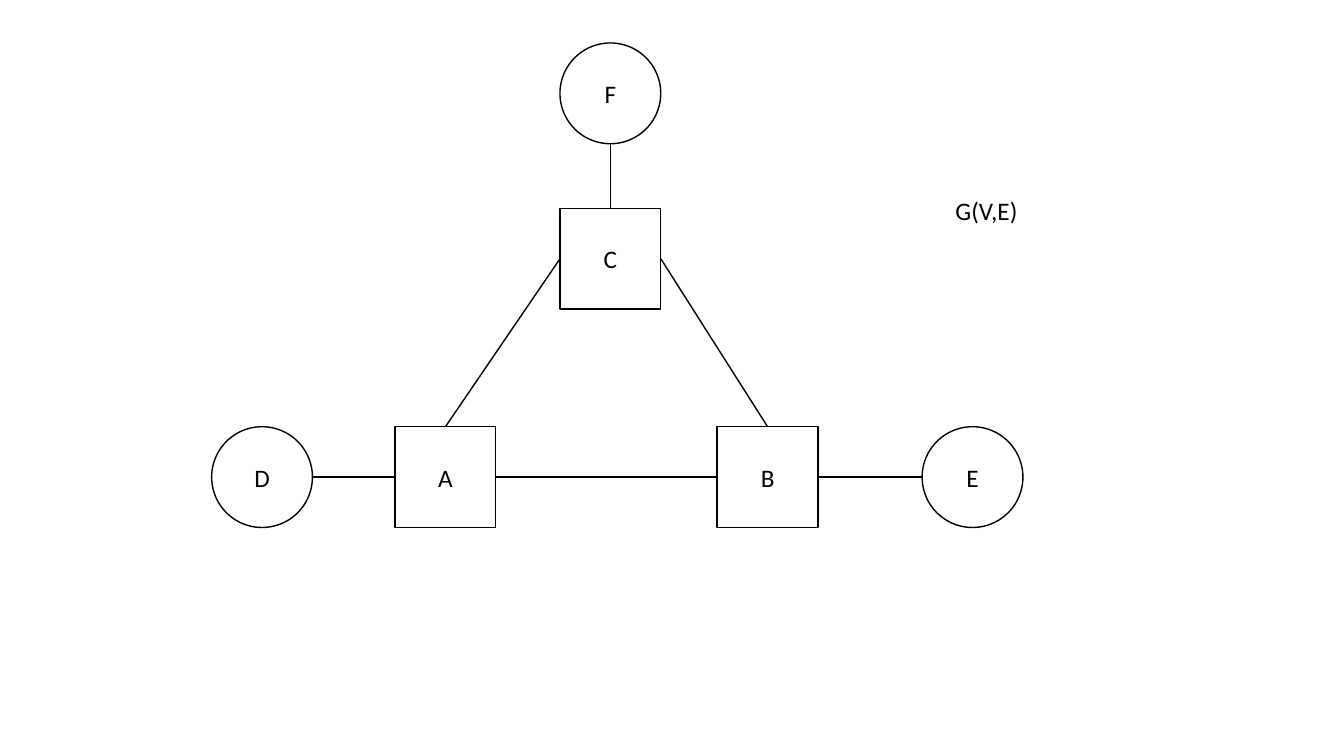
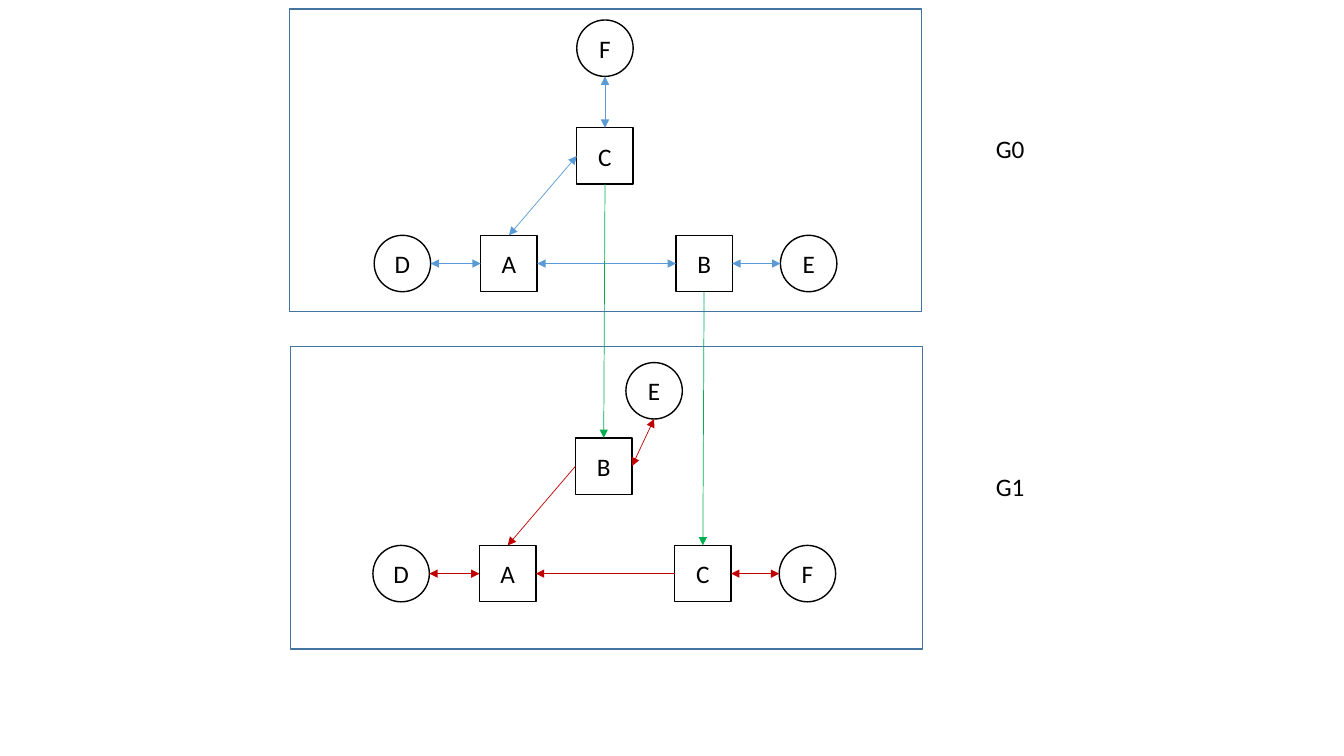
"""Build two slides showing an undirected graph and its two directed layers."""
from dataclasses import dataclass

from lxml import etree
from pptx import Presentation
from pptx.dml.color import RGBColor
from pptx.enum.shapes import MSO_CONNECTOR, MSO_SHAPE
from pptx.enum.text import MSO_ANCHOR, MSO_AUTO_SIZE, PP_ALIGN
from pptx.oxml.ns import qn
from pptx.shapes.autoshape import Shape
from pptx.slide import Slide
from pptx.text.text import TextFrame
from pptx.util import Pt

SQUARE = MSO_SHAPE.RECTANGLE
CIRCLE = MSO_SHAPE.OVAL
STRAIGHT = MSO_CONNECTOR.STRAIGHT
MIDDLE = MSO_ANCHOR.MIDDLE
FIT_TEXT = MSO_AUTO_SIZE.SHAPE_TO_FIT_TEXT
CENTER = PP_ALIGN.CENTER
LEFT = PP_ALIGN.LEFT

COLORS = {
    "white": "FFFFFF",
    "black": "000000",
    "blue": "5B9BD5",
    "green": "00B050",
    "red": "C00000",
    "frame": "43739E",
}
FONT_FORMAT = {"name": "Calibri", "size": Pt(18)}
NODE_TEXT_FORMAT = {"vertical_anchor": MIDDLE, "word_wrap": True}
LABEL_TEXT_FORMAT = {"word_wrap": False, "auto_size": FIT_TEXT}
SIDES = {"top": (0.5, 0), "left": (0, 0.5), "bottom": (0.5, 1), "right": (1, 0.5)}
BLANK_LAYOUT = 6


@dataclass(frozen=True)
class Node:
    """A lettered vertex of a graph."""
    letter: str
    kind: MSO_SHAPE
    left: float
    top: float
    size: float

    def side(self, name: str) -> tuple[float, float]:
        """Return the middle point of one side."""
        across, down = SIDES[name]
        return self.left + across * self.size, self.top + down * self.size


@dataclass(frozen=True)
class Edge:
    """A straight link between the sides of two nodes."""
    start: str
    start_side: str
    end: str
    end_side: str
    color: str = "black"
    width: float = 1
    head: bool = False
    tail: bool = False


@dataclass(frozen=True)
class Box:
    """A frame or label area."""
    left: float
    top: float
    width: float
    height: float
    text: str = ""


def rgb(name: str) -> RGBColor:
    """Return a named colour."""
    return RGBColor.from_string(COLORS[name])


def apply_format(target: object, values: dict) -> None:
    """Set every attribute listed in the format values."""
    for name, value in values.items():
        setattr(target, name, value)


def write_text(frame: TextFrame, text: str, alignment: PP_ALIGN, values: dict) -> None:
    """Write one formatted line of text."""
    apply_format(frame, values)
    paragraph = frame.paragraphs[0]
    paragraph.alignment = alignment
    run = paragraph.add_run()
    run.text = text
    apply_format(run.font, FONT_FORMAT)
    run.font.color.rgb = rgb("black")


def add_outline(slide: Slide, kind: MSO_SHAPE, box: Box, color: str) -> Shape:
    """Add a shape with a thin outline and no shadow."""
    shape = slide.shapes.add_shape(
        kind, Pt(box.left), Pt(box.top), Pt(box.width), Pt(box.height))
    shape.shadow.inherit = False
    shape.line.color.rgb = rgb(color)
    shape.line.width = Pt(1)
    return shape


def add_node(slide: Slide, node: Node) -> None:
    """Draw a vertex with its letter."""
    box = Box(node.left, node.top, node.size, node.size)
    shape = add_outline(slide, node.kind, box, "black")
    shape.fill.solid()
    shape.fill.fore_color.rgb = rgb("white")
    write_text(shape.text_frame, node.letter, CENTER, NODE_TEXT_FORMAT)


def add_edge(slide: Slide, edge: Edge, nodes: dict[str, Node]) -> None:
    """Draw an edge with its arrowheads."""
    start = nodes[edge.start].side(edge.start_side)
    end = nodes[edge.end].side(edge.end_side)
    connector = slide.shapes.add_connector(
        STRAIGHT, *(Pt(value) for value in (*start, *end)))
    connector.line.color.rgb = rgb(edge.color)
    connector.line.width = Pt(edge.width)
    properties = connector._element.spPr
    etree.SubElement(properties, qn("a:effectLst"))
    line = properties.find(qn("a:ln"))
    for tag, shown in (("a:headEnd", edge.head), ("a:tailEnd", edge.tail)):
        if shown:
            etree.SubElement(line, qn(tag), type="triangle")


def add_frame(slide: Slide, box: Box) -> None:
    """Draw the unfilled border around a layer."""
    add_outline(slide, SQUARE, box, "frame").fill.background()


def add_label(slide: Slide, box: Box) -> None:
    """Write the name of a graph."""
    label = slide.shapes.add_textbox(
        Pt(box.left), Pt(box.top), Pt(box.width), Pt(box.height))
    write_text(label.text_frame, box.text, LEFT, LABEL_TEXT_FORMAT)


def make_layer(suffix: str, letters: str, left: float, top: float,
               satellite: tuple[float, float]) -> dict[str, Node]:
    """Place a layer: left circle, two squares, right circle, apex, satellite."""
    places = (
        (CIRCLE, 0, 153.8), (SQUARE, 76.1, 153.8), (SQUARE, 215.5, 153.8),
        (CIRCLE, 290.2, 153.8), (SQUARE, 144.7, 77), (CIRCLE, *satellite))
    return {
        letter + suffix: Node(letter, kind, left + across, top + down, 40.3)
        for letter, (kind, across, down) in zip(letters, places)}


def add_graph(presentation: Presentation, nodes: dict[str, Node], edges: list[Edge],
              frames: list[Box], labels: list[Box]) -> None:
    """Add a slide with a complete graph."""
    slide = presentation.slides.add_slide(presentation.slide_layouts[BLANK_LAYOUT])
    for node in nodes.values():
        add_node(slide, node)
    for edge in edges:
        add_edge(slide, edge, nodes)
    for frame in frames:
        add_frame(slide, frame)
    for label in labels:
        add_label(slide, label)


GRAPH_NODES = {
    letter: Node(letter, kind, left, top, 72)
    for letter, kind, left, top in (
        ("C", SQUARE, 400, 148.8), ("A", SQUARE, 282.2, 304.8),
        ("B", SQUARE, 512.3, 304.8), ("F", CIRCLE, 400, 30.7),
        ("D", CIRCLE, 151.2, 304.8), ("E", CIRCLE, 658.7, 304.8))}
GRAPH_EDGES = [
    Edge("C", "left", "A", "top"),
    Edge("C", "right", "B", "top"),
    Edge("A", "right", "B", "left"),
    Edge("F", "bottom", "C", "top"),
    Edge("D", "right", "A", "left"),
    Edge("B", "right", "E", "left"),
]

LAYER_NODES = (make_layer("0", "DABECF", 267.3, 14.3, (144.7, 0))
               | make_layer("1", "DACFBE", 266.4, 235.8, (180.7, 23.2)))
BOTH_WAYS = {"width": 0.5, "head": True, "tail": True}
ONE_WAY = {"width": 0.5, "tail": True}
LAYER_EDGES = [
    Edge("F0", "bottom", "C0", "top", "blue", **BOTH_WAYS),
    Edge("A0", "right", "B0", "left", "blue", **BOTH_WAYS),
    Edge("C0", "left", "A0", "top", "blue", **BOTH_WAYS),
    Edge("A0", "left", "D0", "right", "blue", **BOTH_WAYS),
    Edge("B0", "right", "E0", "left", "blue", **BOTH_WAYS),
    Edge("B0", "bottom", "C1", "top", "green", **ONE_WAY),
    Edge("C0", "bottom", "B1", "top", "green", **ONE_WAY),
    Edge("B1", "right", "E1", "bottom", "red", **BOTH_WAYS),
    Edge("A1", "left", "D1", "right", "red", **BOTH_WAYS),
    Edge("C1", "right", "F1", "left", "red", **BOTH_WAYS),
    Edge("C1", "left", "A1", "right", "red", **ONE_WAY),
    Edge("B1", "left", "A1", "top", "red", **ONE_WAY),
]
LAYER_FRAMES = [Box(206.7, 6.5, 451.4, 216), Box(207.4, 247.6, 451.4, 216)]
GRAPH_LABELS = [Box(675.4, 136.1, 59, 29, "G(V,E)")]
LAYER_LABELS = [Box(704.2, 91.4, 35.3, 29, "G0"), Box(704.2, 333.4, 35.3, 29, "G1")]


def main() -> None:
    """Build and save the presentation."""
    presentation = Presentation()
    apply_format(presentation, {"slide_width": Pt(960), "slide_height": Pt(540)})
    add_graph(presentation, GRAPH_NODES, GRAPH_EDGES, [], GRAPH_LABELS)
    add_graph(presentation, LAYER_NODES, LAYER_EDGES, LAYER_FRAMES, LAYER_LABELS)
    presentation.save("out.pptx")


main()
